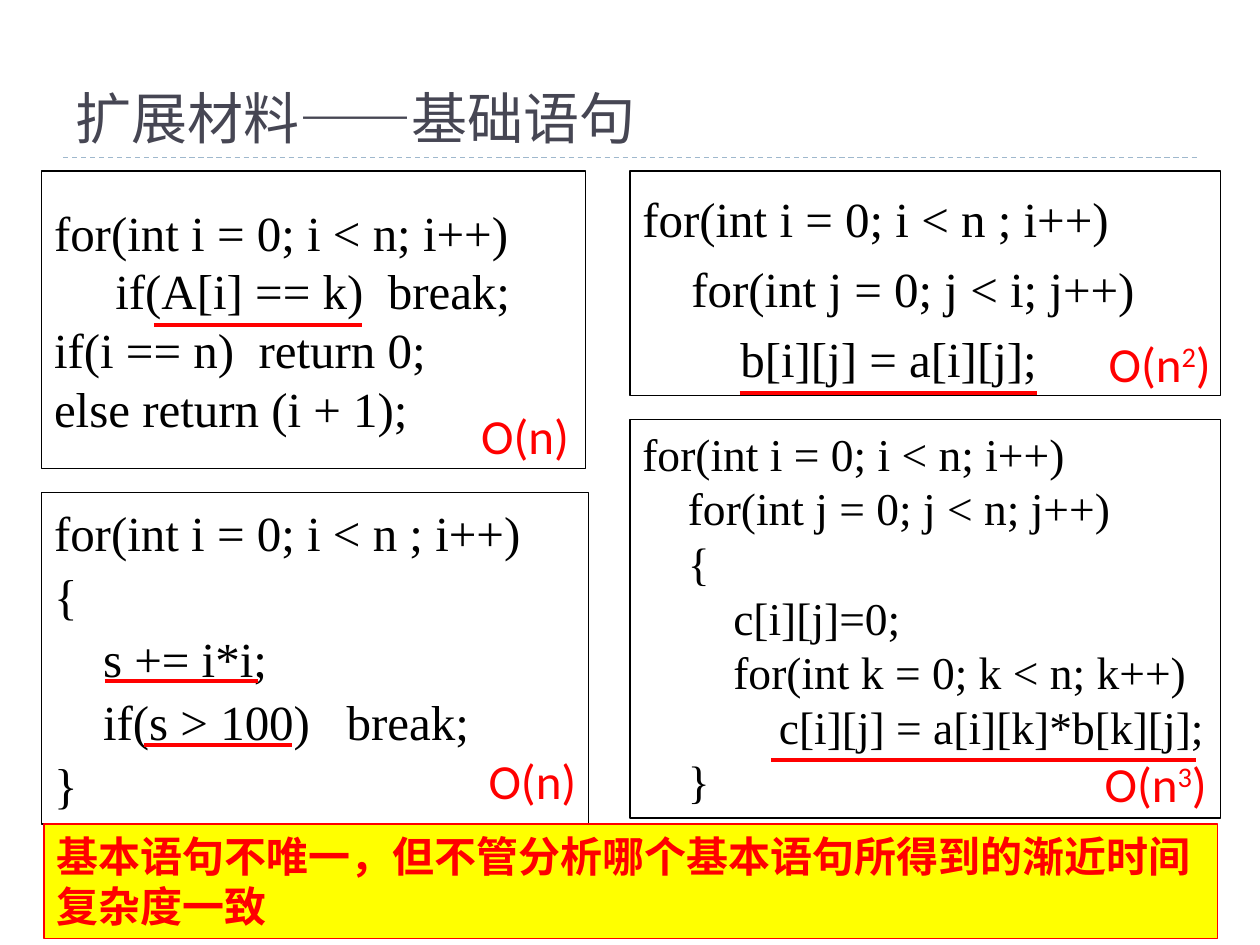
from pptx import Presentation
from pptx import util as u
from pptx.dml.color import RGBColor
from pptx.enum import dml, shapes, text
from pptx.oxml.ns import qn
from lxml import etree

COLORS = {
    "title": "464653",
    "rule": "9FB8CD",
    "ink": "000000",
    "accent": "FF0000",
    "highlight": "FFFF00",
}


def color(name):
    """Return the named colour."""
    return RGBColor.from_string(COLORS[name])


def add_text(paragraph, content, *, size, font, fill="ink", bold=False, raised=False):
    """Append one formatted run to a paragraph."""
    run = paragraph.add_run()
    run.text = content
    run.font.size = u.Pt(size)
    run.font.name = font
    run.font.bold = bold
    run.font.color.rgb = color(fill)
    if raised:
        run.font._element.set("baseline", "30000")


def add_box(slide, left, top, width, height, *, fill=None, line="ink",
            anchor=text.MSO_ANCHOR.TOP):
    """Add an outlined rectangle and return its text frame."""
    shape = slide.shapes.add_shape(shapes.MSO_SHAPE.RECTANGLE, u.Cm(left), u.Cm(top),
                                   u.Cm(width), u.Cm(height))
    shape.shadow.inherit = False
    if fill:
        shape.fill.solid()
        shape.fill.fore_color.rgb = color(fill)
    else:
        shape.fill.background()
    shape.line.color.rgb = color(line)
    shape.line.width = u.Pt(0.75)
    frame = shape.text_frame
    frame.word_wrap = True
    frame.vertical_anchor = anchor
    return frame


def add_code(frame, lines, size, spacing=None):
    """Write (indent level, code) lines; one level is four spaces, or one em."""
    for index, (level, code) in enumerate(lines):
        paragraph = frame.add_paragraph() if index else frame.paragraphs[0]
        paragraph.alignment = text.PP_ALIGN.LEFT
        if spacing:
            paragraph.line_spacing = u.Pt(spacing)
        properties = paragraph._p.get_or_add_pPr()
        properties.set("marL", str(u.Pt(level * size)))
        properties.set("indent", "0")
        add_text(paragraph, code, size=size, font="Times New Roman")


def add_complexity(slide, left, top, power=""):
    """Add a red O(n) label with an optional exponent."""
    width = 2.64 if power else 2.31
    label = slide.shapes.add_textbox(u.Cm(left), u.Cm(top), u.Cm(width), u.Cm(1.45))
    label.text_frame.word_wrap = False
    paragraph = label.text_frame.paragraphs[0]
    style = {"size": 28, "font": "Calibri", "fill": "accent"}
    add_text(paragraph, "O(n", **style)
    if power:
        add_text(paragraph, power, raised=True, **style)
    add_text(paragraph, ")", **style)


def add_rule(slide, left, right, top, *, line="accent", width=2.25, dash=None):
    """Add a horizontal line."""
    rule = slide.shapes.add_connector(shapes.MSO_CONNECTOR.STRAIGHT, u.Cm(left),
                                      u.Cm(top), u.Cm(right), u.Cm(top))
    rule.line.color.rgb = color(line)
    rule.line.width = u.Pt(width)
    if dash:
        rule.line.dash_style = dash
    etree.SubElement(rule._element.spPr, qn("a:effectLst"))


def add_title(slide, content):
    """Place and fill the title placeholder."""
    title = slide.shapes.title
    title.left, title.top = u.Cm(1.27), u.Cm(0.43)
    title.width, title.height = u.Cm(22.86), u.Cm(2.74)
    frame = title.text_frame
    frame.auto_size = text.MSO_AUTO_SIZE.NONE
    frame.vertical_anchor = text.MSO_ANCHOR.BOTTOM
    frame.paragraphs[0].alignment = text.PP_ALIGN.LEFT
    add_text(frame.paragraphs[0], content, size=32, font="Roboto Slab", fill="title")


def add_conclusion(slide, content):
    """Add the highlighted conclusion at the bottom."""
    frame = add_box(slide, 0.89, 16.61, 23.65, 2.31, fill="highlight", line="accent")
    frame.paragraphs[0].alignment = text.PP_ALIGN.LEFT
    add_text(frame.paragraphs[0], content, size=24, font="Calibri", fill="accent", bold=True)


def main():
    """Build and save the slide."""
    presentation = Presentation()
    presentation.slide_width, presentation.slide_height = u.Cm(25.4), u.Cm(19.05)
    slide = presentation.slides.add_slide(presentation.slide_layouts[5])

    add_rule(slide, 1.27, 24.13, 3.18, line="rule", width=0.75,
             dash=dml.MSO_LINE.DASH)
    add_title(slide, "扩展材料——基础语句")

    add_code(add_box(slide, 12.7, 3.45, 11.91, 4.52), [
        (0, "for(int i = 0; i < n ; i++)"),
        (1, "for(int j = 0; j < i; j++)"),
        (2, "b[i][j] = a[i][j];"),
    ], 28, spacing=40)
    add_code(add_box(slide, 12.7, 8.46, 11.91, 8.03), [
        (0, "for(int i = 0; i < n; i++)"),
        (1, "for(int j = 0; j < n; j++)"),
        (1, "{"),
        (2, "c[i][j]=0;"),
        (2, "for(int k = 0; k < n; k++)"),
        (3, "c[i][j] = a[i][k]*b[k][j];"),
        (1, "}"),
    ], 26)
    add_code(add_box(slide, 0.84, 9.93, 11.02, 6.68), [
        (0, "for(int i = 0; i < n ; i++)"),
        (0, "{"),
        (1, "s += i*i;"),
        (1, "if(s > 100)   break;"),
        (0, "}"),
    ], 28, spacing=36)
    add_code(add_box(slide, 0.84, 3.45, 10.97, 5.99, anchor=text.MSO_ANCHOR.MIDDLE), [
        (0, "for(int i = 0; i < n; i++)"),
        (1.25, "if(A[i] == k)  break;"),
        (0, "if(i == n)  return 0;"),
        (0, "else return (i + 1);"),
    ], 28)

    for left, top, power in [(9.45, 8.05, ""), (22.1, 6.6, "2"),
                             (22.02, 15.06, "3"), (9.6, 15.01, "")]:
        add_complexity(slide, left, top, power)

    add_conclusion(slide, "基本语句不唯一，但不管分析哪个基本语句所得到的渐近时间复杂度一致")

    for left, right, top in [(3.1, 7.29, 6.55), (14.91, 20.9, 7.92), (2.9, 5.89, 15.01),
                             (2.11, 5.21, 13.72), (15.54, 24.1, 15.32)]:
        add_rule(slide, left, right, top)

    presentation.save("out.pptx")


main()
